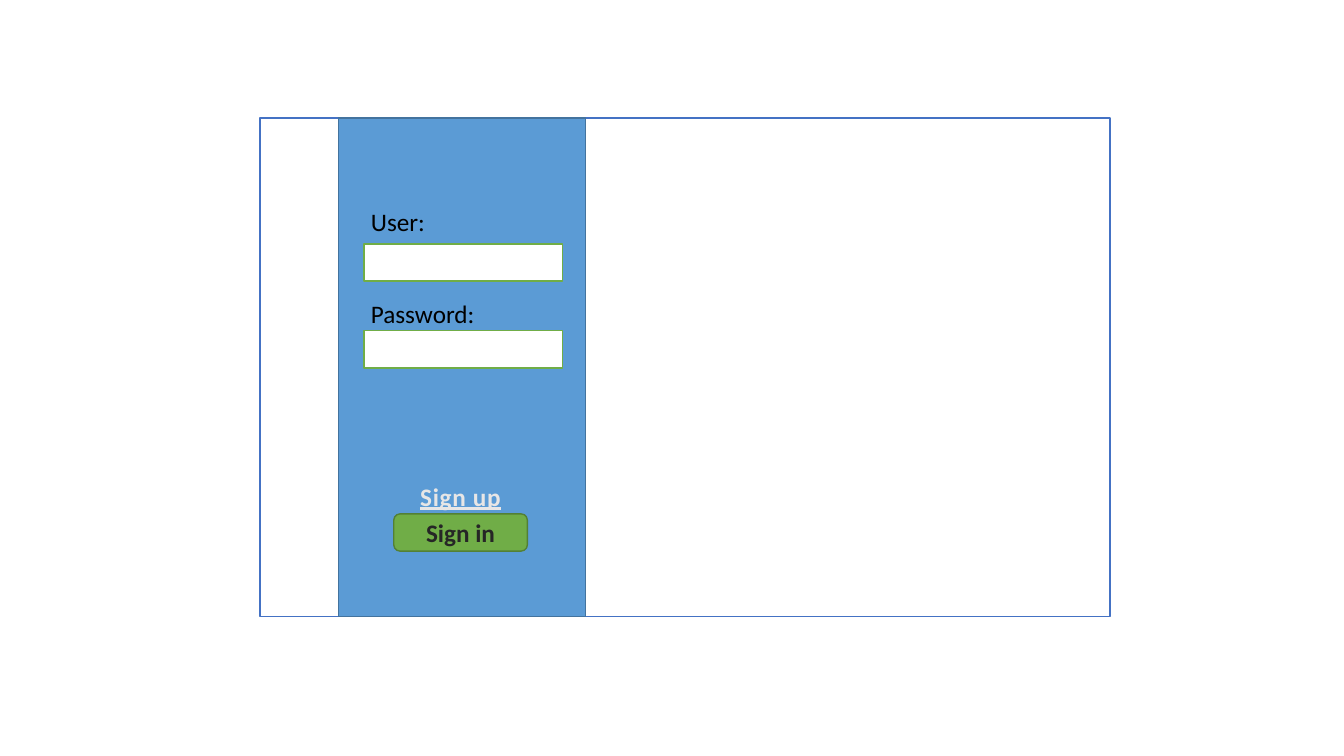
from pptx import Presentation
from pptx.dml.color import RGBColor
from pptx.enum import shapes, text
from pptx.util import Pt

COLORS = {
    "white": "FFFFFF",
    "window_line": "4472C4",
    "panel": "5B9BD5",
    "panel_line": "43739E",
    "green": "70AD47",
    "button_line": "538035",
    "label": "000000",
    "button_text": "262626",
    "link": "E7E6E6",
}


def add_box(slide, left, top, width, height, fill, line, kind=shapes.MSO_SHAPE.RECTANGLE):
    shape = slide.shapes.add_shape(kind, Pt(left), Pt(top), Pt(width), Pt(height))
    shape.shadow.inherit = False
    shape.fill.solid()
    shape.fill.fore_color.rgb = RGBColor.from_string(COLORS[fill])
    shape.line.color.rgb = RGBColor.from_string(COLORS[line])
    shape.line.width = Pt(1)
    return shape


def add_text_box(slide, left, top, width, height):
    text_box = slide.shapes.add_textbox(Pt(left), Pt(top), Pt(width), Pt(height))
    text_box.text_frame.word_wrap = True
    return text_box.text_frame


def write(paragraph, words, color="label", bold=False, underline=False,
          align=text.PP_ALIGN.LEFT, before=0, tracking=0):
    paragraph.alignment = align
    paragraph.space_before = Pt(before)
    run = paragraph.add_run()
    run.text = words
    run.font.name = "Calibri"
    run.font.size = Pt(18)
    run.font.bold = bold
    run.font.underline = underline
    run.font.color.rgb = RGBColor.from_string(COLORS[color])
    if tracking:
        run.font._element.set("spc", str(round(tracking * 100)))


def add_credentials(slide, left, top):
    labels = add_text_box(slide, left, top, 159, 94.3)
    write(labels.paragraphs[0], "User:")
    write(labels.add_paragraph(), "Password:", before=44)
    for row in range(2):
        add_box(slide, left + 2.2, top + 30.3 + row * 61.9, 141.8, 26.6, "white", "green")


def add_actions(slide, left, top):
    button = add_box(slide, left, top + 27.2, 95.4, 26.6, "green", "button_line",
                     shapes.MSO_SHAPE.ROUNDED_RECTANGLE)
    button.text_frame.vertical_anchor = text.MSO_ANCHOR.MIDDLE
    write(button.text_frame.paragraphs[0], "Sign in", color="button_text", bold=True,
          align=text.PP_ALIGN.CENTER)
    link = add_text_box(slide, left + 11.8, top, 83.5, 29)
    write(link.paragraphs[0], "Sign up", color="link", bold=True, underline=True, tracking=0.5)


def add_login_window(slide, left, top, width, height):
    add_box(slide, left, top, width, height, "white", "window_line")
    panel_left = left + 56.2
    add_box(slide, panel_left, top, 176.4, height, "panel", "panel_line")
    add_credentials(slide, panel_left + 15.8, top + 59.8)
    add_actions(slide, panel_left + 39.3, top + 255.7)


def main():
    presentation = Presentation()
    presentation.slide_width, presentation.slide_height = Pt(960), Pt(540)
    slide = presentation.slides.add_slide(presentation.slide_layouts[6])
    add_login_window(slide, 185.8, 84.2, 607, 356.4)
    presentation.save("out.pptx")


if __name__ == "__main__":
    main()
